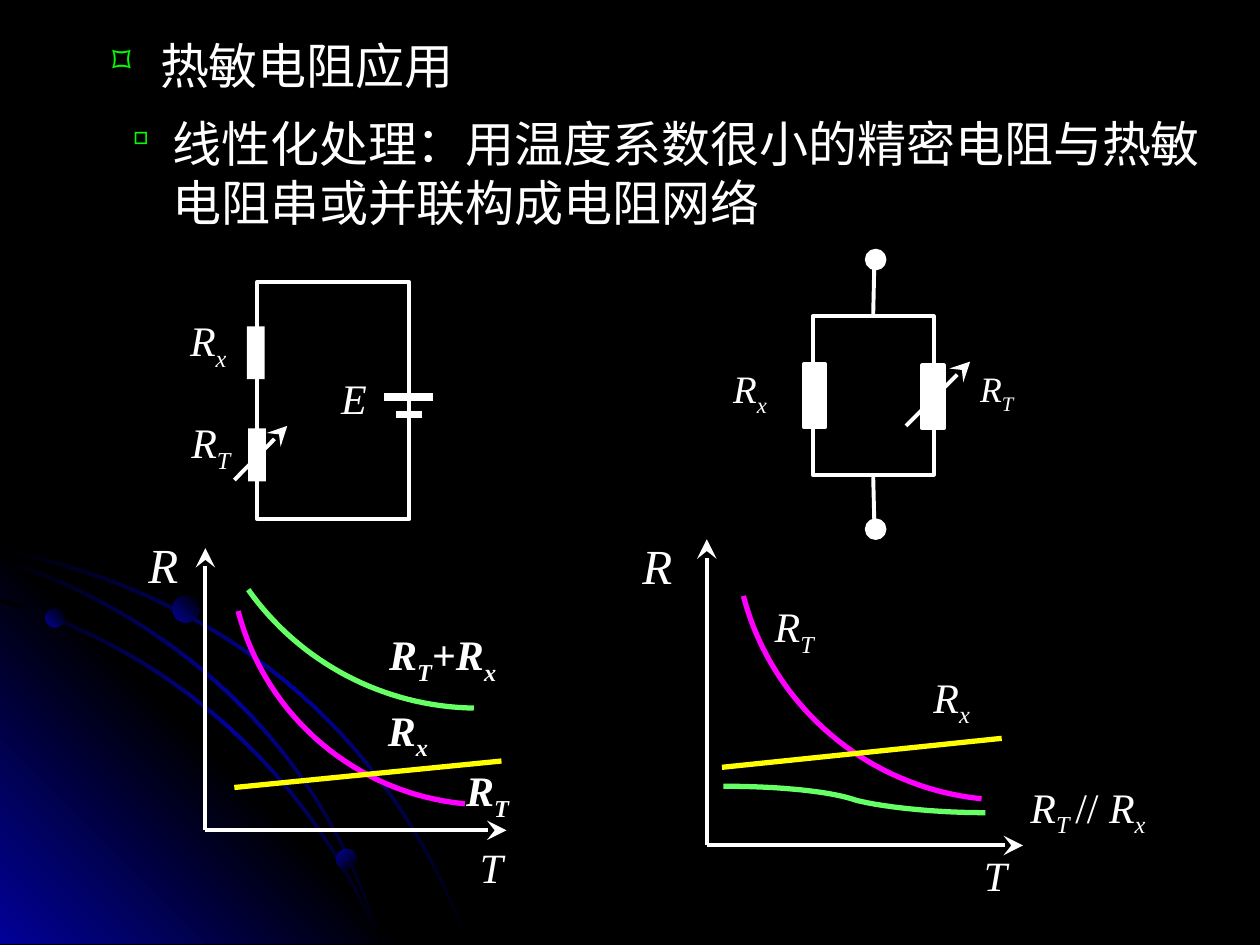
"""Build the slide on linearising thermistors with series and parallel resistors."""
import lxml.etree
import pptx
import pptx.dml.color
import pptx.enum.shapes
import pptx.enum.text
import pptx.oxml.ns
import pptx.util

Inches = pptx.util.Inches
Pt = pptx.util.Pt
SHAPES = pptx.enum.shapes.MSO_SHAPE
qn = pptx.oxml.ns.qn

COLORS = {"black": "000000", "navy": "010199", "white": "FFFFFF", "bullet": "00FF00",
          "thermistor": "FF00FF", "resistor": "FFFF00", "network": "66FF66"}
GLOW = [(0, "black"), (50, "navy"), (100, "black")]
CORNER = [(0, "navy"), (50, "black"), (100, "navy")]
ORB = [(0, "navy"), (100, "black")]


def rgb(name):
    """Return the named colour."""
    return pptx.dml.color.RGBColor.from_string(COLORS[name])


def child(parent, tag, **attributes):
    """Append a drawing element with the given attributes."""
    return lxml.etree.SubElement(parent, qn(tag), attributes)


def bezier(start, control1, control2, end, steps=32):
    """Sample a cubic curve at equal parameter steps."""
    points = []
    for step in range(steps + 1):
        t = step / steps
        weights = ((1 - t) ** 3, 3 * t * (1 - t) ** 2, 3 * t * t * (1 - t), t ** 3)
        points.append(tuple(sum(w * p[axis] for w, p in zip(weights, (start, control1, control2, end)))
                            for axis in (0, 1)))
    return points


class Deck:
    """Hold the style and current slide, and draw each kind of element."""

    def __init__(self):
        """Open a presentation with one black title-only slide."""
        self.presentation = pptx.Presentation()
        self.presentation.slide_width = Inches(10)
        self.presentation.slide_height = Inches(7.5)
        self.slide = self.presentation.slides.add_slide(self.presentation.slide_layouts[5])
        self.shapes = self.slide.shapes
        self.slide.background.fill.solid()
        self.slide.background.fill.fore_color.rgb = rgb("black")
        self.heading_size = 28
        self.label_font = "Times New Roman"

    def bullet(self, box, text, mark, font):
        """Fill a box with one bulleted paragraph."""
        frame = box.text_frame
        frame.text = text
        frame.word_wrap = True
        frame.auto_size = pptx.enum.text.MSO_AUTO_SIZE.NONE
        frame.vertical_anchor = pptx.enum.text.MSO_ANCHOR.TOP
        paragraph = frame.paragraphs[0]
        paragraph.alignment = pptx.enum.text.PP_ALIGN.LEFT
        properties = paragraph._p.get_or_add_pPr()
        properties.set("marL", str(Inches(0.38)))
        properties.set("indent", str(-Inches(0.38)))
        child(child(properties, "a:buClr"), "a:srgbClr", val=COLORS["bullet"])
        child(properties, "a:buSzPct", val="75000")
        child(properties, "a:buChar", char=mark)
        run = paragraph.runs[0]
        run.font.size = Pt(self.heading_size)
        run.font.name = font
        run.font.color.rgb = rgb("white")
        child(run._r.get_or_add_rPr(), "a:ea", typeface="Noto Sans CJK SC")

    def title(self, left, top, width, height, text, mark, font):
        """Place the title placeholder as a bulleted heading."""
        box = self.shapes.title
        box.left, box.top, box.width, box.height = map(Inches, (left, top, width, height))
        self.bullet(box, text, mark, font)

    def statement(self, left, top, width, height, text, mark, font):
        """Add a bulleted text box."""
        box = self.shapes.add_textbox(*map(Inches, (left, top, width, height)))
        self.bullet(box, text, mark, font)

    def label(self, left, top, parts, width=0.72, size=24, bold=False, spacing=1.0):
        """Add a symbol whose parts starting with an underscore are subscripts."""
        frame = self.shapes.add_textbox(*map(Inches, (left, top, width, 0.63))).text_frame
        frame.word_wrap = True
        paragraph = frame.paragraphs[0]
        paragraph.line_spacing = spacing
        for part in parts:
            run = paragraph.add_run()
            run.text = part.lstrip("_")
            run.font.size = Pt(size)
            run.font.name = self.label_font
            run.font.bold = bold
            run.font.italic = part not in ("+", "// ")
            run.font.color.rgb = rgb("white")
            if part.startswith("_"):
                run.font._element.set("baseline", "-25000")

    def paint(self, shape, fill=None, line=None, weight=2.25):
        """Set fill and outline, either of which may be absent."""
        shape.shadow.inherit = False
        if fill:
            shape.fill.solid()
            shape.fill.fore_color.rgb = rgb(fill)
        else:
            shape.fill.background()
        if line:
            shape.line.color.rgb = rgb(line)
            shape.line.width = Pt(weight)
        else:
            shape.line.fill.background()
        return shape

    def shade(self, shape, stops, angle):
        """Fill a shape with a linear gradient at a clockwise angle."""
        self.paint(shape)
        shape.fill.gradient()
        shape.fill.gradient_angle = 360 - angle
        stop_list = shape._element.spPr.find(qn("a:gradFill")).find(qn("a:gsLst"))
        for stop in list(stop_list):
            stop_list.remove(stop)
        for position, color in stops:
            stop = child(stop_list, "a:gs", pos=str(position * 1000))
            child(stop, "a:srgbClr", val=COLORS[color])

    def preset(self, kind, left, top, width, height):
        """Add a preset shape."""
        return self.shapes.add_shape(kind, *map(Inches, (left, top, width, height)))

    def outline(self, points, close):
        """Add a freeform through the points."""
        corners = [(Inches(x), Inches(y)) for x, y in points]
        builder = self.shapes.build_freeform(*corners[0], scale=1.0)
        builder.add_line_segments(corners[1:], close=close)
        return builder.convert_to_shape()

    def curve(self, color, *segments):
        """Draw a characteristic curve from cubic segments."""
        points = [point for segment in segments for point in bezier(*segment)]
        self.paint(self.outline(points, False), line=color, weight=3)

    def line(self, start, end, color="white", weight=2.25, arrow=False):
        """Draw a straight line, with an arrowhead at its end if asked."""
        connector = self.shapes.add_connector(pptx.enum.shapes.MSO_CONNECTOR.STRAIGHT,
                                              *map(Inches, (*start, *end)))
        connector.line.color.rgb = rgb(color)
        connector.line.width = Pt(weight)
        if arrow:
            child(connector.line._get_or_add_ln(), "a:tailEnd", type="stealth", w="lg", len="lg")
        child(connector._element.spPr, "a:effectLst")
        return connector

    def axes(self, left, base, top, right):
        """Draw the resistance and temperature axes."""
        self.line((left, base), (left, top), arrow=True)
        self.line((left, base), (right, base), arrow=True)

    def backdrop(self):
        """Draw the glowing arcs and orbs in the lower left corner."""
        arcs = [((0, 4.35), (1.7, 4.68), (3.1, 5.75), (3.72, 7.49)),
                ((0, 4.75), (1.25, 5.1), (2.45, 6.05), (3.03, 7.49)),
                ((0, 4.42), (1.25, 4.83), (2.55, 5.8), (3.03, 7.49))]
        for index, arc in enumerate(arcs):
            lower = [(0, arc[0][1] + 0.03), *((x - 0.02, y + 0.02) for x, y in arc[1:3]),
                     (arc[3][0] - 0.02, arc[3][1])]
            self.shade(self.outline(bezier(*arc) + bezier(*lower)[::-1], True), GLOW, 45)
            if index == 0:
                self.shade(self.outline([(3.22, 7.49), (0, 7.49), (0, 4.27)], True), CORNER, 315)
        for left, top, size, angle in ((0.36, 4.83, 0.15, 315), (2.67, 6.74, 0.16, 45),
                                       (1.37, 4.73, 0.21, 315)):
            self.shade(self.preset(SHAPES.OVAL, left, top, size, size), ORB, angle)

    def series(self):
        """Draw the series circuit and its characteristics."""
        self.paint(self.preset(SHAPES.RECTANGLE, 2.04, 2.24, 1.21, 1.88), line="white")
        for left, top in ((1.97, 3.4), (1.96, 2.59)):
            self.paint(self.preset(SHAPES.RECTANGLE, left, top, 0.14, 0.42), fill="white")
        self.line((1.86, 3.81), (2.28, 3.38), arrow=True)
        self.line((3.44, 3.15), (3.05, 3.15), weight=4.5)
        self.line((3.35, 3.29), (3.14, 3.29), weight=4.5)
        self.label(2.61, 2.91, ["E"])
        self.label(1.41, 2.45, ["R", "_x"])
        self.label(1.42, 3.26, ["R", "_T"])
        self.axes(1.63, 6.59, 4.35, 4.02)
        self.curve("thermistor", ((3.69, 6.38), (2.83, 6.3), (2.11, 5.69), (1.89, 4.85)))
        self.curve("network", ((3.76, 5.62), (3.05, 5.61), (2.38, 5.26), (1.97, 4.68)))
        self.line((1.86, 6.25), (3.98, 6.04), "resistor", 3)
        self.label(2.99, 4.94, ["R", "_T", "+", "R", "_x"], width=1.39, bold=True)
        self.label(2.98, 5.54, ["R", "_x"], bold=True)
        self.label(3.6, 6.02, ["R", "_T"], bold=True)
        self.label(3.71, 6.68, ["T"], size=23.8, spacing=0.9)
        self.label(1.08, 4.19, ["R"], size=28)

    def parallel(self):
        """Draw the parallel circuit and its characteristics."""
        loop = self.paint(self.preset(SHAPES.RECTANGLE, 6.45, 2.51, 0.96, 1.26), line="white")
        self.line((6.93, 2.51), (6.94, 2.06)).begin_connect(loop, 0)
        self.line((6.94, 4.18), (6.93, 3.77)).end_connect(loop, 2)
        for left, top in ((6.38, 2.89), (7.32, 2.9)):
            self.paint(self.preset(SHAPES.RECTANGLE, left, top, 0.17, 0.5), "white", "white")
        self.line((7.19, 3.38), (7.7, 2.87), arrow=True)
        for top in (1.99, 4.13):
            self.paint(self.preset(SHAPES.OVAL, 6.88, top, 0.14, 0.14), "white", "white")
        self.label(5.72, 2.85, ["R", "_x"], size=22.2, spacing=0.9)
        self.label(7.68, 2.87, ["R", "_T"], size=20.4, spacing=0.9)
        self.axes(5.61, 6.71, 4.28, 8.12)
        self.curve("thermistor", ((7.79, 6.34), (6.89, 6.25), (6.13, 5.61), (5.9, 4.73)))
        self.line((5.73, 6.09), (7.95, 5.86), "resistor", 3)
        self.curve("network", ((5.74, 6.24), (6.18, 6.24), (6.59, 6.28), (6.79, 6.35)),
                   ((6.79, 6.35), (6.98, 6.4), (7.39, 6.45), (7.82, 6.45)))
        self.label(7.31, 5.28, ["R", "_x"])
        self.label(6.05, 4.72, ["R", "_T"])
        self.label(8.08, 6.15, ["R", "_T ", "// ", "R", "_x"], width=1.23)
        self.label(7.71, 6.74, ["T"], size=23.8, spacing=0.9)
        self.label(5, 4.2, ["R"], size=28)


def main():
    """Build and save the slide."""
    deck = Deck()
    deck.backdrop()
    deck.title(0.79, 0.23, 4.56, 0.65, "热敏电阻应用", "⌑", "Arial")
    deck.statement(0.89, 0.85, 8.84, 1.06,
                   "线性化处理：用温度系数很小的精密电阻与热敏电阻串或并联构成电阻网络",
                   "▫", "Noto Sans CJK SC")
    deck.series()
    deck.parallel()
    deck.presentation.save("out.pptx")


if __name__ == "__main__":
    main()
